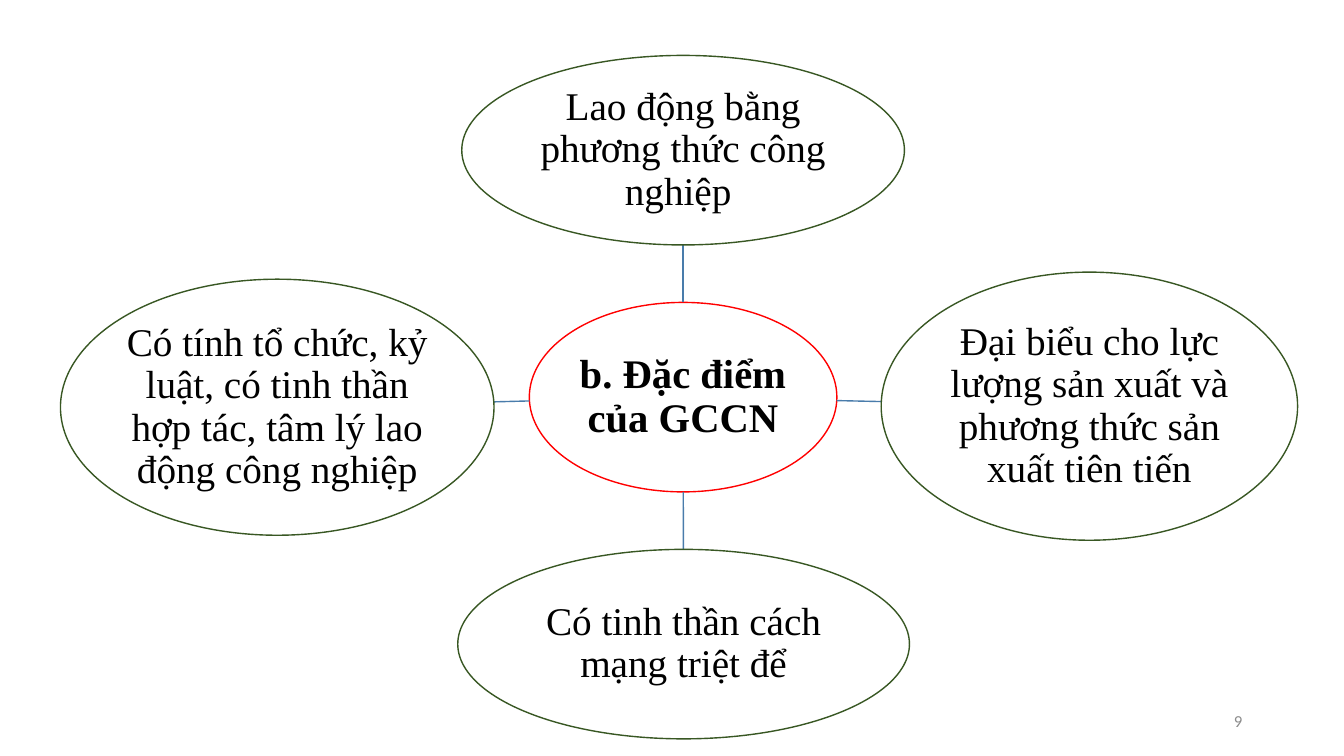
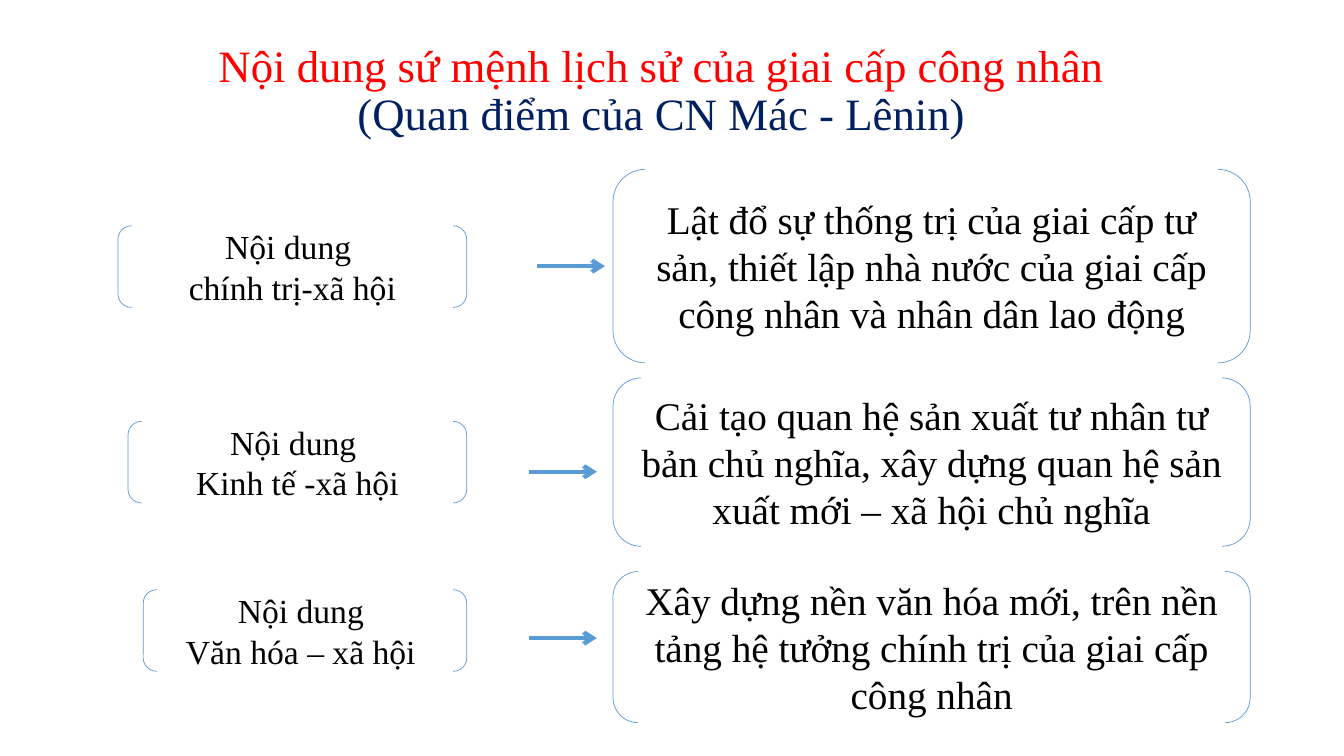
from dataclasses import dataclass
from math import hypot

from lxml import etree
from pptx import Presentation
from pptx.dml.color import RGBColor
from pptx.enum import shapes, text
from pptx.oxml import ns
from pptx.util import Inches, Pt


@dataclass(frozen=True)
class Theme:
    serif: str = "Times New Roman"
    sans: str = "Calibri"
    ink: str = "000000"
    white: str = "FFFFFF"
    red: str = "FF0000"
    navy: str = "002060"
    green: str = "385723"
    spoke: str = "497CAB"
    blue: str = "5B9BD5"
    grey: str = "8C8C8C"
    title: int = 32
    hub: int = 29
    body: int = 28
    label: int = 24
    foot: int = 12


class Deck:
    """Build slides in one shared style."""

    def __init__(self, theme):
        self.theme = theme
        self.prs = Presentation()
        self.prs.slide_width = Inches(13.33)
        self.prs.slide_height = Inches(7.5)

    def start(self, layout):
        self.slide = self.prs.slides.add_slide(self.prs.slide_layouts.get_by_name(layout))
        for holder in list(self.slide.placeholders):
            if holder != self.slide.shapes.title:
                holder.element.getparent().remove(holder.element)

    def add_words(self, para, words, size, color=None, bold=False, face=None):
        run = para.add_run()
        run.text = words
        font = run.font
        font.name = face or self.theme.serif
        font.size = Pt(size)
        font.bold = bold
        font.color.rgb = RGBColor.from_string(color or self.theme.ink)

    def frame(self, shape, inset=None):
        frame = shape.text_frame
        frame.word_wrap = True
        frame.auto_size = text.MSO_AUTO_SIZE.NONE
        frame.vertical_anchor = text.MSO_ANCHOR.MIDDLE
        if inset is not None:
            frame.margin_left = frame.margin_right = Inches(inset)
            frame.margin_top = frame.margin_bottom = Inches(inset)
        return frame

    def shape(self, kind, box, color, width):
        shape = self.slide.shapes.add_shape(kind, *map(Inches, box))
        shape.shadow.inherit = False
        shape.line.color.rgb = RGBColor.from_string(color)
        shape.line.width = Pt(width)
        return shape

    def title(self, box, lines):
        title = self.slide.shapes.title
        title.left, title.top, title.width, title.height = map(Inches, box)
        para = self.frame(title).paragraphs[0]
        para.alignment = text.PP_ALIGN.CENTER
        para.line_spacing = 0.9
        for i, (words, color) in enumerate(lines):
            if i:
                para.add_line_break()
            self.add_words(para, words, self.theme.title, color)

    def oval(self, box, words, color, size, bold=False):
        oval = self.shape(shapes.MSO_SHAPE.OVAL, box, color, 1)
        oval.fill.solid()
        oval.fill.fore_color.rgb = RGBColor.from_string(self.theme.white)
        para = self.frame(oval, 0.02).paragraphs[0]
        para.alignment = text.PP_ALIGN.CENTER
        para.line_spacing = 0.9
        self.add_words(para, words, size, bold=bold)

    def bracket(self, box, lines, size):
        pair = self.shape(shapes.MSO_SHAPE.DOUBLE_BRACKET, box, self.theme.blue, 0.5)
        pair.fill.background()
        frame = self.frame(pair)
        for i, words in enumerate(lines):
            para = frame.add_paragraph() if i else frame.paragraphs[0]
            para.alignment = text.PP_ALIGN.CENTER
            self.add_words(para, words, size)

    def line(self, start, end, color, width, arrow=False):
        line = self.slide.shapes.add_connector(
            shapes.MSO_CONNECTOR.STRAIGHT, *map(Inches, (*start, *end)))
        line.line.color.rgb = RGBColor.from_string(color)
        line.line.width = Pt(width)
        props = line.element.spPr
        if arrow:
            etree.SubElement(props.find(ns.qn("a:ln")), ns.qn("a:tailEnd"), type="arrow")
        etree.SubElement(props, ns.qn("a:effectLst"))

    def number(self, words):
        box = self.slide.shapes.add_textbox(*map(Inches, (9.42, 6.95, 3, 0.4)))
        para = self.frame(box).paragraphs[0]
        para.alignment = text.PP_ALIGN.RIGHT
        self.add_words(para, words, self.theme.foot, self.theme.grey, face=self.theme.sans)


def center(box):
    x, y, w, h = box
    return x + w / 2, y + h / 2


def rim(box, goal):
    x, y = center(box)
    dx, dy = goal[0] - x, goal[1] - y
    scale = 1 / hypot(dx / (box[2] / 2), dy / (box[3] / 2))
    return x + dx * scale, y + dy * scale


def traits(deck):
    theme = deck.theme
    hub = (5.25, 3, 3.05, 1.88)
    ring = [
        ((4.58, 0.55, 4.39, 1.88), "Lao động bằng phương thức công nghiệp "),
        ((8.74, 2.7, 4.13, 2.66),
         "Đại biểu cho lực lượng sản xuất và phương thức sản xuất tiên tiến"),
        ((4.54, 5.45, 4.48, 1.88), "Có tinh thần cách mạng triệt để"),
        ((0.6, 2.77, 4.3, 2.54),
         "Có tính tổ chức, kỷ luật, có tinh thần hợp tác, tâm lý lao động công nghiệp"),
    ]
    deck.start("Blank")
    deck.number("9")
    deck.oval(hub, "b. Đặc điểm của GCCN", theme.red, theme.hub, bold=True)
    for box, words in ring:
        deck.line(rim(hub, center(box)), rim(box, center(hub)), theme.spoke, 1)
        deck.oval(box, words, theme.green, theme.body)


def mission(deck):
    theme = deck.theme
    edge = 4.63
    rows = [
        (1.17, 2.24, "chính trị-xã hội", 1.68, 1.92, (5.33, 2.64),
         "Lật đổ sự thống trị của giai cấp tư sản, thiết lập nhà nước "
         "của giai cấp công nhân và nhân dân lao động"),
        (1.27, 4.18, "Kinh tế -xã hội", 3.75, 1.67, (5.25, 4.68),
         "Cải tạo quan hệ sản xuất tư nhân tư bản chủ nghĩa, xây dựng "
         "quan hệ sản xuất mới – xã hội chủ nghĩa"),
        (1.42, 5.85, "Văn hóa – xã hội ", 5.67, 1.5, (5.25, 6.33),
         "Xây dựng nền văn hóa mới, trên nền tảng hệ tưởng chính trị "
         "của giai cấp công nhân"),
    ]
    deck.start("Title Only")
    deck.title((1.17, 0.29, 10.78, 1.25), [
        ("Nội dung sứ mệnh lịch sử của giai cấp công nhân", theme.red),
        ("(Quan điểm của CN Mác - Lênin)", theme.navy),
    ])
    for left, top, label, high, tall, (x, y), words in rows:
        deck.bracket((left, top, edge - left, 0.81), ["Nội dung ", label], theme.label)
        deck.bracket((6.08, high, 6.32, tall), [words], theme.body)
        deck.line((x, y), (x + 0.67, y), theme.blue, 3, arrow=True)


def main():
    deck = Deck(Theme())
    traits(deck)
    mission(deck)
    deck.prs.save("out.pptx")


if __name__ == "__main__":
    main()
